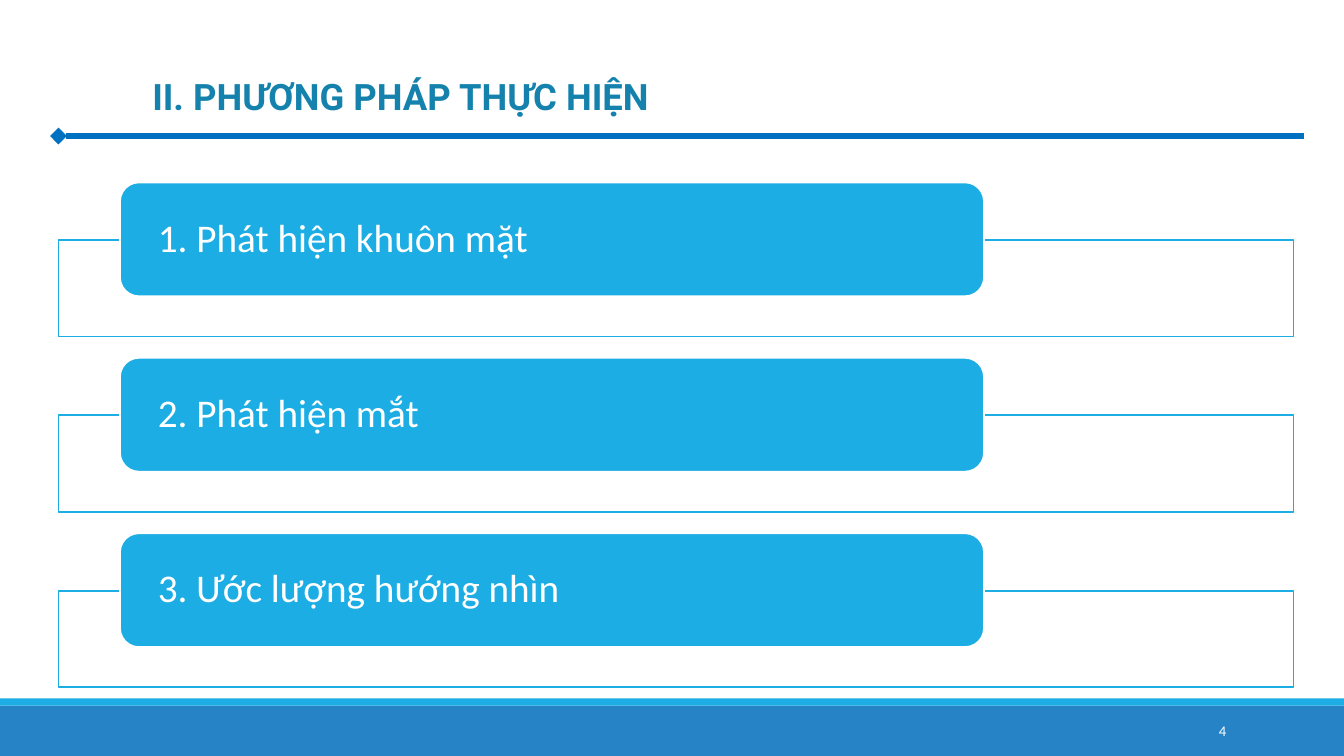
from lxml.etree import SubElement
from pptx import Presentation
from pptx.dml.color import RGBColor
from pptx.enum.shapes import MSO_CONNECTOR, MSO_SHAPE
from pptx.enum.text import MSO_ANCHOR, PP_ALIGN
from pptx.oxml.ns import qn
from pptx.util import Inches, Pt

WHITE, SKY, BLUE = "FFFFFF", "1CADE4", "2683C6"
TITLE_COLOR, RULE_COLOR = "1482AC", "0070C0"
STEPS = ["1. Phát hiện khuôn mặt", "2. Phát hiện mắt", "3. Ước lượng hướng nhìn"]
FIRST_TOP, STEP_PITCH = 1.81, 1.74


def color(value):
    return RGBColor.from_string(value)


def add_box(slide, kind, left, top, width, height, fill, line=None):
    shape = slide.shapes.add_shape(
        kind, Inches(left), Inches(top), Inches(width), Inches(height))
    shape.shadow.inherit = False
    shape.fill.solid()
    shape.fill.fore_color.rgb = color(fill)
    if line:
        shape.line.color.rgb = color(line)
        shape.line.width = Pt(1.25)
    else:
        shape.line.fill.background()
    return shape


def set_opacity(shape, percent):
    fill_color = shape.fill._xPr.find(qn("a:solidFill"))[0]
    SubElement(fill_color, qn("a:alpha"), val=str(percent * 1000))


def write_text(shape, text, size, font, font_color, align=PP_ALIGN.LEFT,
               bold=False, side_inset=0.1, end_inset=0.05):
    frame = shape.text_frame
    frame.word_wrap = True
    frame.vertical_anchor = MSO_ANCHOR.MIDDLE
    frame.margin_left = frame.margin_right = Inches(side_inset)
    frame.margin_top = frame.margin_bottom = Inches(end_inset)
    paragraph = frame.paragraphs[0]
    paragraph.alignment = align
    paragraph.line_spacing = 0.9
    run = paragraph.add_run()
    run.text = text
    run.font.size = Pt(size)
    run.font.name = font
    run.font.bold = bold
    run.font.color.rgb = color(font_color)


def add_title(slide, text):
    title = slide.shapes.title
    title.left, title.top = Inches(0.87), Inches(0.68)
    title.width, title.height = Inches(6.43), Inches(0.54)
    write_text(title, text, 26, "Roboto", TITLE_COLOR, bold=True)
    title.text_frame.margin_left = Inches(0.64)
    title.text_frame.paragraphs[0].line_spacing = 1.0


def add_rule(slide):
    rule = slide.shapes.add_connector(
        MSO_CONNECTOR.STRAIGHT, Inches(0.58), Inches(1.35), Inches(12.93), Inches(1.35))
    rule.line.color.rgb = color(RULE_COLOR)
    rule.line.width = Pt(4)
    SubElement(rule.line._get_or_add_ln(), qn("a:headEnd"), type="diamond")
    SubElement(rule._element.spPr, qn("a:effectLst"))


def add_step(slide, top, text):
    frame = add_box(slide, MSO_SHAPE.RECTANGLE, 0.58, top + 0.57, 12.25, 0.96, WHITE, SKY)
    set_opacity(frame, 90)
    label = add_box(slide, MSO_SHAPE.ROUNDED_RECTANGLE, 1.19, top, 8.57, 1.13, SKY, WHITE)
    write_text(label, text, 28, "Calibri", WHITE, side_inset=0.32, end_inset=0)


def add_page_number(slide, number):
    box = slide.shapes.add_textbox(Inches(10.83), Inches(7.06), Inches(1.43), Inches(0.4))
    write_text(box, number, 10.5, "Calibri", WHITE, align=PP_ALIGN.RIGHT)


def main():
    presentation = Presentation()
    presentation.slide_width, presentation.slide_height = Inches(13.33), Inches(7.5)
    slide = presentation.slides.add_slide(presentation.slide_layouts[5])

    # Footer bands
    add_box(slide, MSO_SHAPE.RECTANGLE, 0, 7, 13.33, 0.5, BLUE)
    add_box(slide, MSO_SHAPE.RECTANGLE, 0, 6.93, 13.33, 0.07, SKY)

    # Heading
    add_title(slide, "II. PHƯƠNG PHÁP THỰC HIỆN")
    add_rule(slide)

    # Method steps
    for index, text in enumerate(STEPS):
        add_step(slide, FIRST_TOP + index * STEP_PITCH, text)

    add_page_number(slide, "4")
    presentation.save("out.pptx")


if __name__ == "__main__":
    main()
